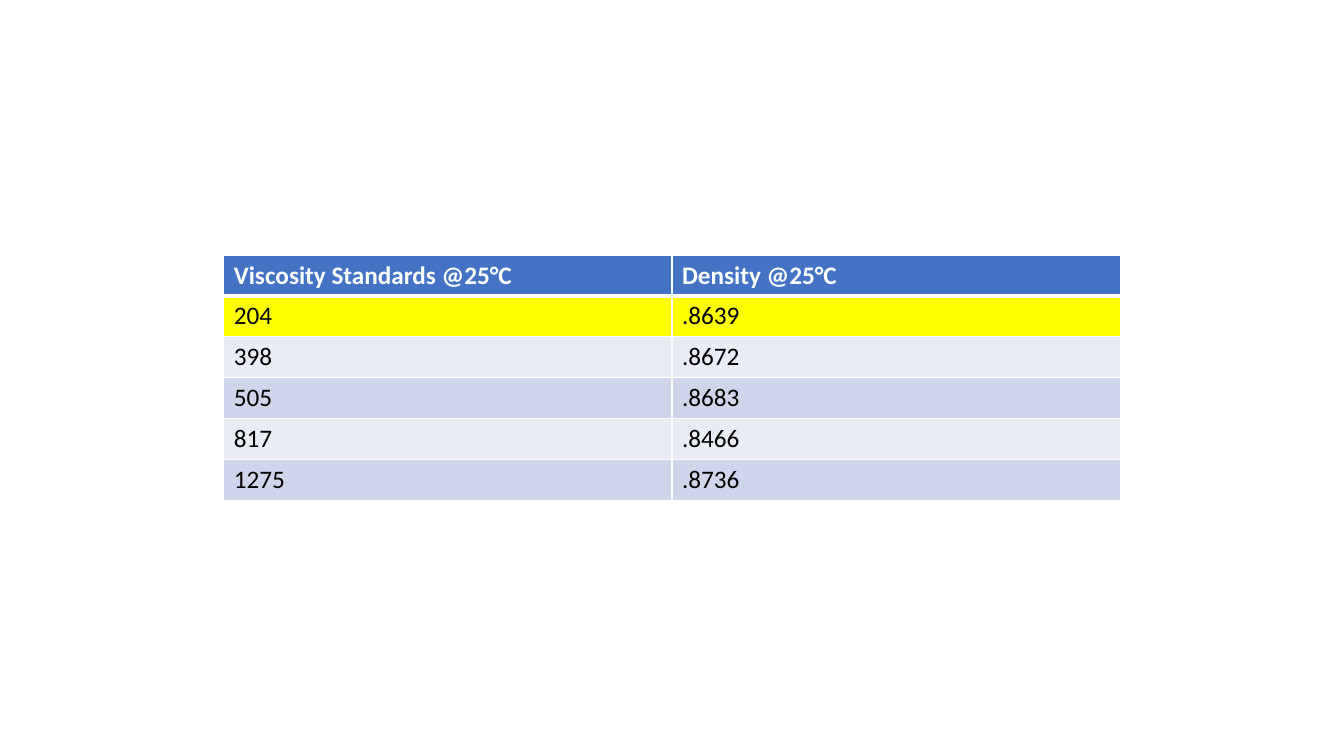
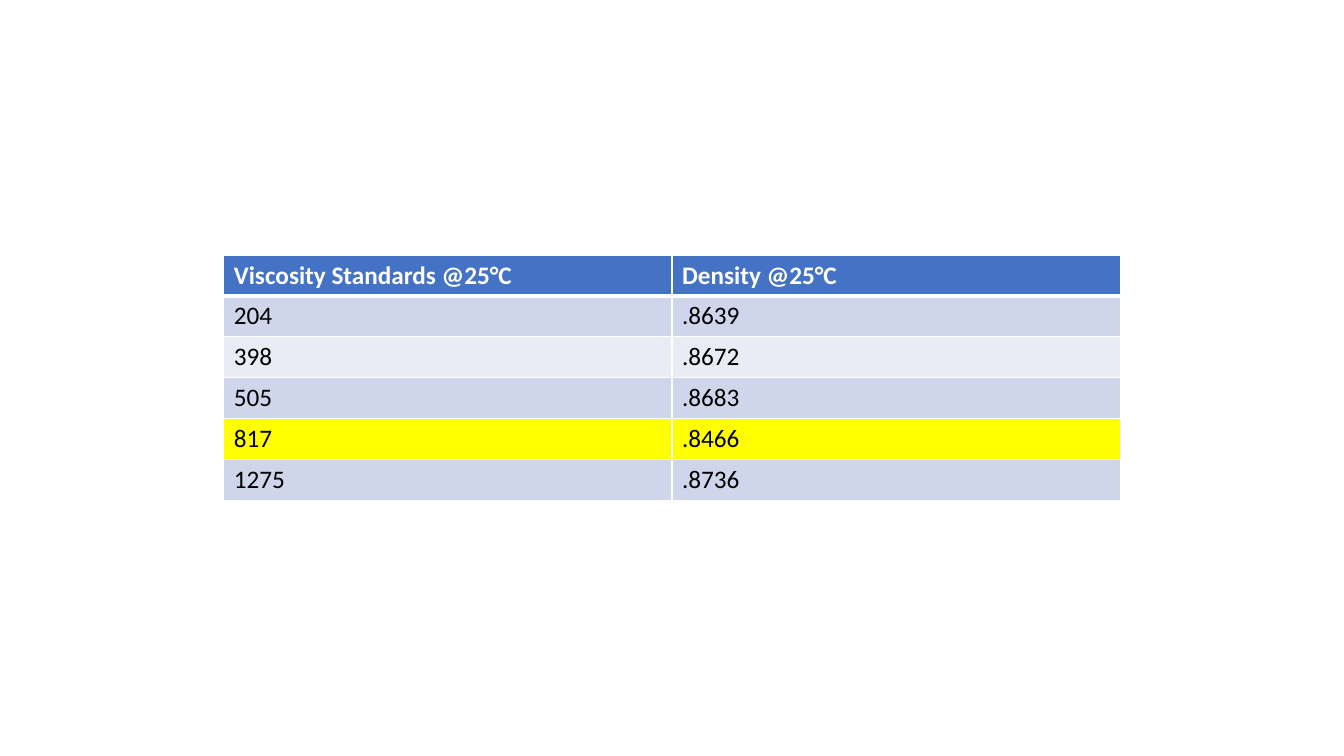
import pptx
import pptx.dml.color
import pptx.oxml
import pptx.oxml.ns
import pptx.util
from pptx.util import Inches

FONT = "Calibri"
WHITE = "FFFFFF"
BLACK = "000000"
HEADER_BLUE = "4472C4"
BANDS = ["CFD5EA", "E9EBF5"]
HIGHLIGHT = "FFFF00"

MEASUREMENTS = [
    ("Viscosity Standards @25°C", "Density @25°C"),
    ("204", ".8639"),
    ("398", ".8672"),
    ("505", ".8683"),
    ("817", ".8466"),
    ("1275", ".8736"),
]
HIGHLIGHTED_STANDARDS = ["204", "817"]  # one slide each


def color(hex_value):
    return pptx.dml.color.RGBColor.from_string(hex_value)


def add_borders(cell, widths):
    """Draw white cell borders; widths maps L, R, T and B to points.

    Call before filling the cell, as the schema puts borders first.
    """
    properties = cell._tc.get_or_add_tcPr()
    for side, width in widths.items():
        properties.append(pptx.oxml.parse_xml(
            f'<a:ln{side} {pptx.oxml.ns.nsdecls("a")} w="{pptx.util.Pt(width)}">'
            f'<a:solidFill><a:srgbClr val="{WHITE}"/></a:solidFill></a:ln{side}>'
        ))


presentation = pptx.Presentation()
presentation.slide_width = Inches(13.33)
presentation.slide_height = Inches(7.5)
blank_layout = presentation.slide_layouts[6]

for highlighted_standard in HIGHLIGHTED_STANDARDS:
    slide = presentation.slides.add_slide(blank_layout)
    density_table = slide.shapes.add_table(
        len(MEASUREMENTS), 2,
        Inches(2.22), Inches(2.53), Inches(8.89), Inches(2.43),
    ).table

    for row, values in enumerate(MEASUREMENTS):
        is_header = row == 0
        if is_header:
            row_fill = HEADER_BLUE
        elif values[0] == highlighted_standard:
            row_fill = HIGHLIGHT
        else:
            row_fill = BANDS[(row - 1) % 2]
        border_widths = {"L": 1, "R": 1, "T": 3 if row == 1 else 1, "B": 3 if is_header else 1}

        for column, value in enumerate(values):
            cell = density_table.cell(row, column)
            add_borders(cell, border_widths)
            cell.fill.solid()
            cell.fill.fore_color.rgb = color(row_fill)
            cell.text = value
            font = cell.text_frame.paragraphs[0].font
            font.name = FONT
            font.size = pptx.util.Pt(18)
            font.bold = is_header
            font.color.rgb = color(WHITE if is_header else BLACK)

presentation.save("out.pptx")
